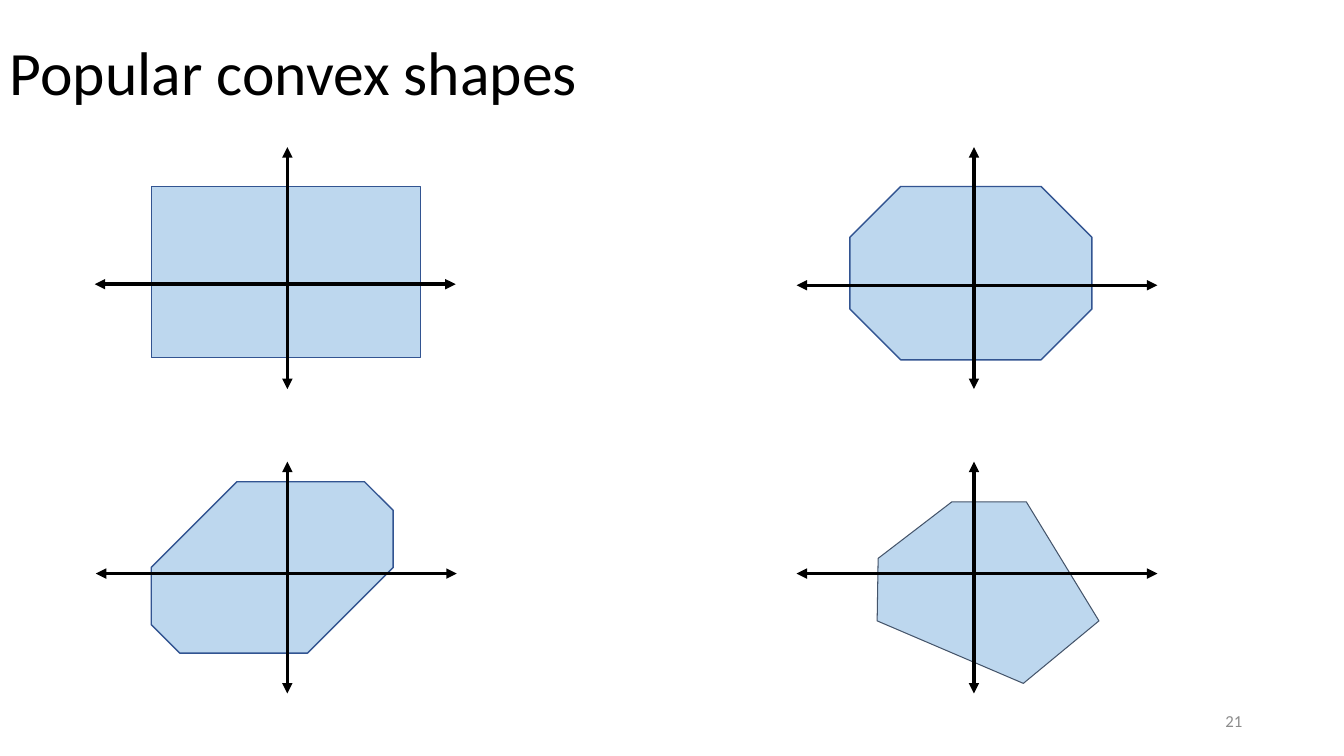
from lxml import etree
from pptx import Presentation
from pptx.dml.color import RGBColor
from pptx.enum.shapes import MSO_CONNECTOR, MSO_SHAPE
from pptx.enum.text import MSO_ANCHOR, PP_ALIGN
from pptx.oxml.ns import qn
from pptx.util import Inches, Pt

RECTANGLE = MSO_SHAPE.RECTANGLE
OCTAGON = MSO_SHAPE.OCTAGON
SNIPPED = MSO_SHAPE.SNIP_2_DIAG_RECTANGLE
STRAIGHT = MSO_CONNECTOR.STRAIGHT
MIDDLE = MSO_ANCHOR.MIDDLE
LEFT, RIGHT = PP_ALIGN.LEFT, PP_ALIGN.RIGHT

COLORS = {
    "text": "000000",
    "number": "8C8C8C",
    "fill": "BDD7EE",
    "outline": "325491",
    "polygon": "44546A",
    "axis": "000000",
}
FONT = "Calibri"
AXIS_WIDTH = 3.58


class ShapeSlide:
    def __init__(self, page):
        self.page = page

    def color(self, name):
        return RGBColor.from_string(COLORS[name])

    def text(self, words, left, top, width, height, size, color, align=LEFT, spacing=1.0):
        box = self.page.shapes.add_textbox(
            Inches(left), Inches(top), Inches(width), Inches(height))
        frame = box.text_frame
        frame.word_wrap = True
        frame.vertical_anchor = MIDDLE
        para = frame.paragraphs[0]
        para.text = words
        para.alignment = align
        para.line_spacing = spacing
        para.font.name = FONT
        para.font.size = Pt(size)
        para.font.color.rgb = self.color(color)

    def paint(self, shape, outline, weight):
        shape.shadow.inherit = False
        shape.fill.solid()
        shape.fill.fore_color.rgb = self.color("fill")
        shape.line.color.rgb = self.color(outline)
        shape.line.width = Pt(weight)

    def preset(self, kind, left, top, width, height, adjustments=()):
        shape = self.page.shapes.add_shape(
            kind, Inches(left), Inches(top), Inches(width), Inches(height))
        for index, value in enumerate(adjustments):
            shape.adjustments[index] = value
        self.paint(shape, "outline", 1)

    def polygon(self, points):
        corners = [(Inches(x), Inches(y)) for x, y in points]
        builder = self.page.shapes.build_freeform(*corners[0])
        builder.add_line_segments(corners[1:], close=True)
        self.paint(builder.convert_to_shape(), "polygon", 0.75)

    def axis(self, start_x, start_y, end_x, end_y):
        line = self.page.shapes.add_connector(
            STRAIGHT, Inches(start_x), Inches(start_y), Inches(end_x), Inches(end_y))
        line.line.color.rgb = self.color("axis")
        line.line.width = Pt(2.5)
        outline = line.line._get_or_add_ln()
        for end in ("a:headEnd", "a:tailEnd"):
            etree.SubElement(outline, qn(end), type="triangle")
        etree.SubElement(line._element.spPr, qn("a:effectLst"))

    def axes(self, center_x, top, bottom, left, center_y):
        self.axis(center_x, top, center_x, bottom)
        self.axis(left + AXIS_WIDTH, center_y, left, center_y)


def main():
    deck = Presentation()
    deck.slide_width, deck.slide_height = Inches(13.33), Inches(7.5)
    slide = ShapeSlide(deck.slides.add_slide(deck.slide_layouts[6]))

    slide.text("Popular convex shapes", 0, 0.02, 11.5, 1.45, 44, "text", spacing=0.9)
    slide.text("21", 9.42, 6.95, 3, 0.4, 12, "number", align=RIGHT)

    slide.preset(RECTANGLE, 1.5, 1.85, 2.67, 1.7)
    slide.preset(OCTAGON, 8.43, 1.85, 2.4, 1.72)
    slide.preset(SNIPPED, 1.5, 4.78, 2.4, 1.7, (0.5, 0.167))
    slide.polygon([(9.44, 4.98), (10.18, 4.98), (10.9, 6.16),
                   (10.15, 6.78), (8.7, 6.16), (8.71, 5.54)])

    for center_x, top, bottom, left, center_y in (
        (2.85, 1.46, 3.86, 0.94, 2.82),
        (9.66, 1.46, 3.86, 7.9, 2.83),
        (2.85, 4.58, 6.88, 0.95, 5.69),
        (9.66, 4.58, 6.88, 7.9, 5.69),
    ):
        slide.axes(center_x, top, bottom, left, center_y)

    deck.save("out.pptx")


if __name__ == "__main__":
    main()
